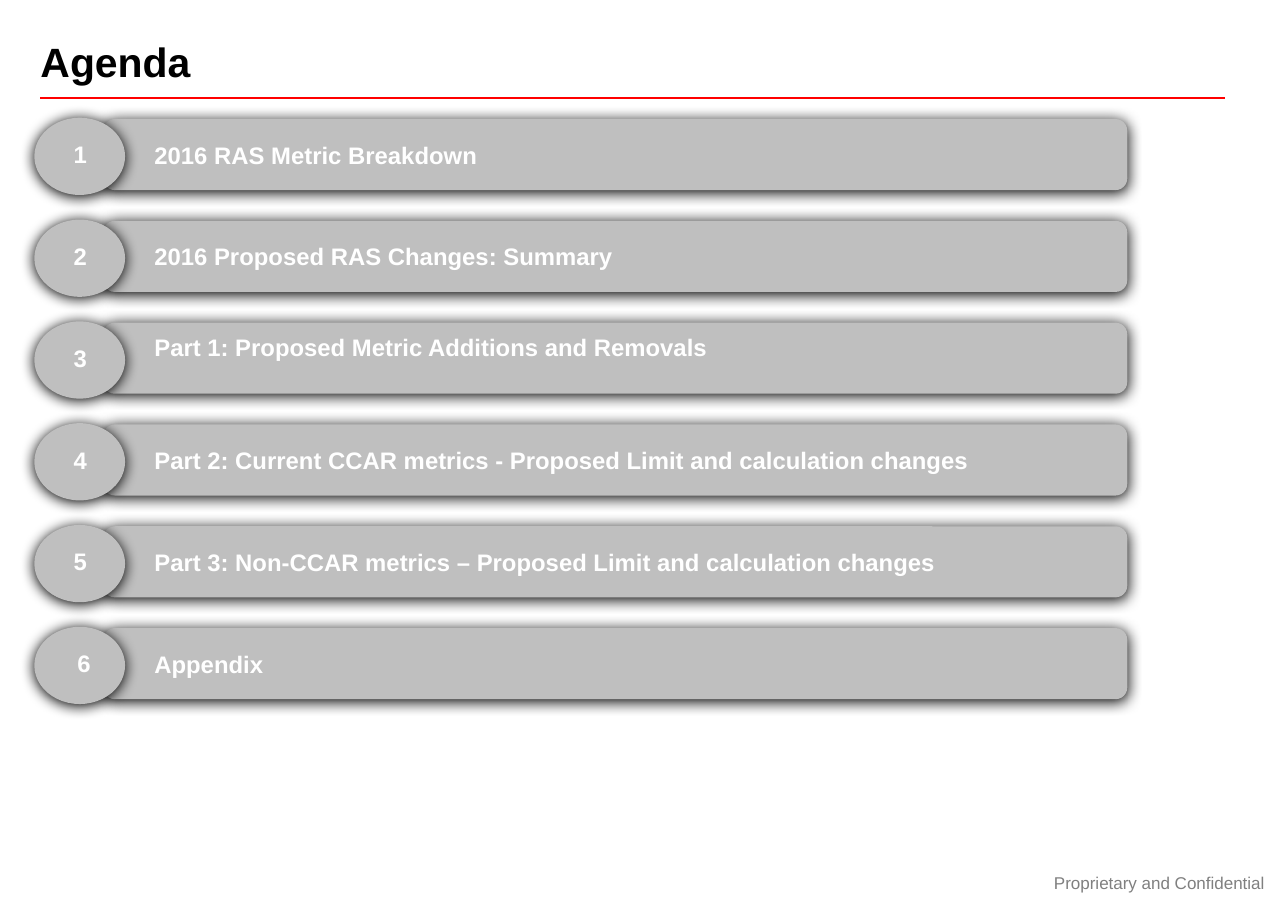
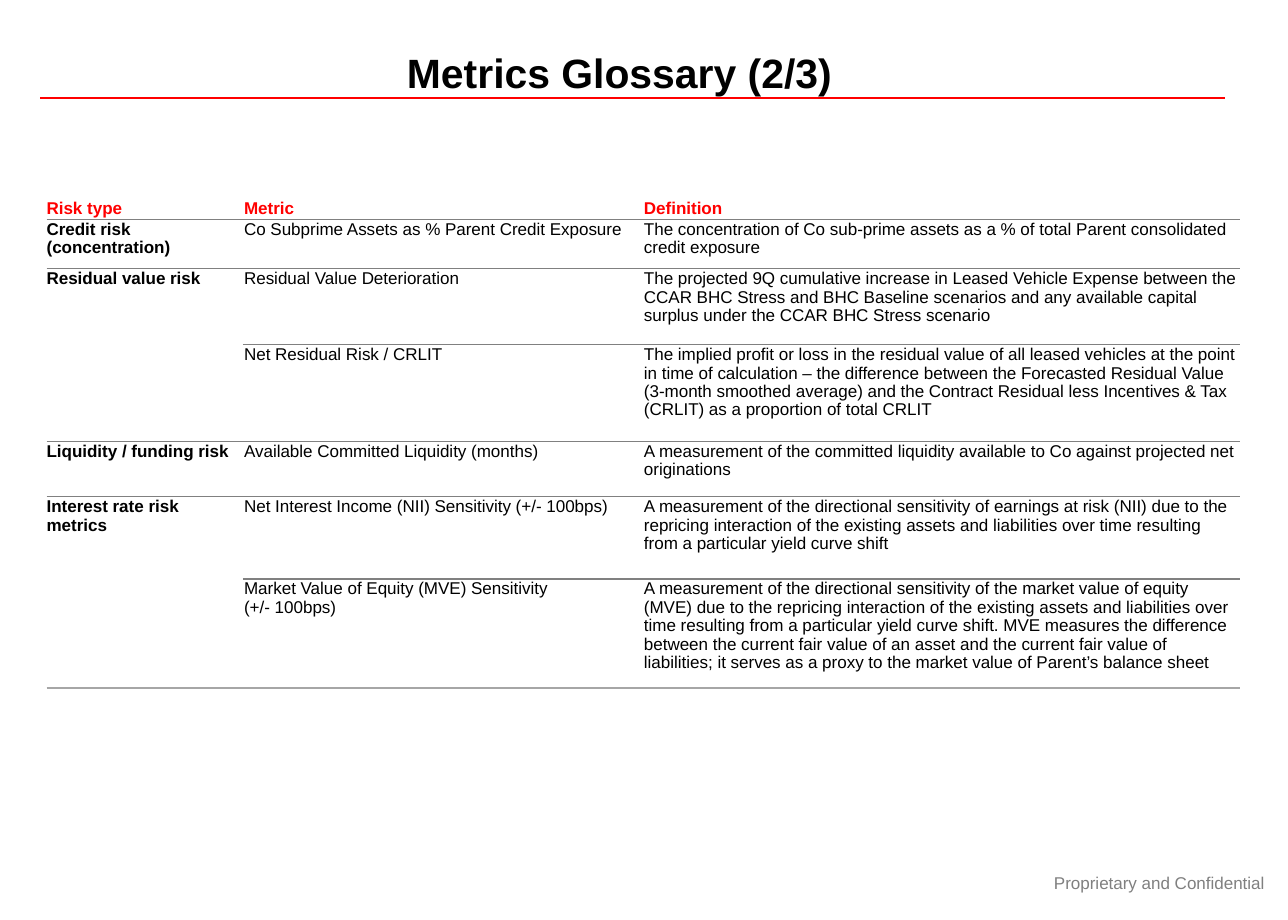
"""Build an agenda slide and a metrics glossary slide."""
from lxml.etree import SubElement
from pptx import Presentation
from pptx.dml.color import RGBColor
from pptx.enum.shapes import MSO_CONNECTOR as Link, MSO_SHAPE as Shape
from pptx.enum.text import MSO_ANCHOR as Anchor, PP_ALIGN as Align
from pptx.oxml import parse_xml
from pptx.oxml.ns import nsdecls, qn
from pptx.util import Pt

PX = 9144
RED = RGBColor(0xFF, 0x00, 0x00)
BLACK = RGBColor(0x00, 0x00, 0x00)
WHITE = RGBColor(0xFF, 0xFF, 0xFF)
SILVER = RGBColor(0xBF, 0xBF, 0xBF)
GRAY = RGBColor(0x80, 0x80, 0x80)
PALE = RGBColor(0xA6, 0xA6, 0xA6)

TITLES = [
    ("Agenda", (33, 30, 966, 50), 0, Align.LEFT, 1.0),
    ("Metrics Glossary (2/3)", (31, 38, 948, 48), 5, Align.CENTER, 0.9),
]
TOPICS = [
    "2016 RAS Metric Breakdown",
    "2016 Proposed RAS Changes: Summary",
    "Part 1: Proposed Metric Additions and Removals",
    "Part 2: Current CCAR metrics - Proposed Limit and calculation changes",
    "Part 3: Non-CCAR metrics – Proposed Limit and calculation changes",
    "Appendix",
]
ROWS = [
    (18, "Risk type", "Metric", "Definition"),
    (40, "Credit risk (concentration)",
     "Co Subprime Assets as % Parent Credit Exposure",
     "The concentration of Co sub-prime assets as a % of total Parent "
     "consolidated credit exposure"),
    (62, "Residual value risk", "Residual Value Deterioration",
     "The projected 9Q cumulative increase in Leased Vehicle Expense between "
     "the CCAR BHC Stress and BHC Baseline scenarios and any available "
     "capital surplus under the CCAR BHC Stress scenario"),
    (79, "", "Net Residual Risk / CRLIT",
     "The implied profit or loss in the residual value of all leased vehicles "
     "at the point in time of calculation – the difference between the "
     "Forecasted Residual Value (3-month smoothed average) and the Contract "
     "Residual less Incentives & Tax (CRLIT) as a proportion of total CRLIT"),
    (45, "Liquidity / funding risk", "Available Committed Liquidity (months)",
     "A measurement of the committed liquidity available to Co against "
     "projected net originations"),
    (67, "Interest rate risk metrics",
     "Net Interest Income (NII) Sensitivity (+/- 100bps)",
     "A measurement of the directional sensitivity of earnings at risk (NII) "
     "due to the repricing interaction of the existing assets and liabilities "
     "over time resulting from a particular yield curve shift"),
    (89, "", "Market Value of Equity (MVE) Sensitivity\v(+/- 100bps)",
     "A measurement of the directional sensitivity of the market value of "
     "equity (MVE) due to the repricing interaction of the existing assets "
     "and liabilities over time resulting from a particular yield curve "
     "shift. MVE measures the difference between the current fair value of an "
     "asset and the current fair value of liabilities; it serves as a proxy "
     "to the market value of Parent’s balance sheet"),
]
COLS = [160, 326, 487]


def write(frame, text, size, color, bold=False, align=Align.LEFT, gap=1.0):
    frame.text = text
    frame.word_wrap = True
    for para in frame.paragraphs:
        para.alignment = align
        para.line_spacing = gap
        for run in para.runs:
            font = run.font
            font.name, font.size, font.bold = "Arial", Pt(size), bold
            font.color.rgb = color


def edge(cell, side, color=None):
    line = SubElement(cell._tc.get_or_add_tcPr(), qn("a:" + side), w="12700")
    if color is None:
        SubElement(line, qn("a:noFill"))
    else:
        fill = SubElement(line, qn("a:solidFill"))
        SubElement(fill, qn("a:srgbClr"), val=str(color))


deck = Presentation()
deck.slide_width, deck.slide_height = 1050 * PX, 750 * PX

for text, area, inset, align, gap in TITLES:
    slide = deck.slides.add_slide(deck.slide_layouts[5])
    title = slide.shapes.title
    title.left, title.top, title.width, title.height = [n * PX for n in area]
    frame = title.text_frame
    write(frame, text, 24, BLACK, True, align, gap)
    frame.vertical_anchor = Anchor.TOP
    frame.margin_left = frame.margin_right = inset * 2 * PX
    frame.margin_top = frame.margin_bottom = inset * PX

    rule = slide.shapes.add_connector(
        Link.STRAIGHT, 33 * PX, 80 * PX, 999 * PX, 80 * PX)
    rule.line.color.rgb = RED
    rule.line.width = Pt(1)
    SubElement(rule._element.spPr, qn("a:effectLst"))

    foot = slide.shapes.add_textbox(840 * PX, 700 * PX, 210 * PX, 40 * PX)
    write(foot.text_frame, "Proprietary and Confidential", 10, GRAY,
          align=Align.CENTER)
    foot.text_frame.vertical_anchor = Anchor.MIDDLE

agenda, terms = deck.slides

for i, topic in enumerate(TOPICS):
    top = 97 + 83 * i
    group = agenda.shapes.add_group_shape().shapes
    for kind, left, y, width, height in [
            (Shape.ROUNDED_RECTANGLE, 84, top, 835, 58),
            (Shape.OVAL, 28, top - 1, 74, 63)]:
        shape = group.add_shape(
            kind, left * PX, y * PX, width * PX, height * PX)
        shape.fill.solid()
        shape.fill.fore_color.rgb = SILVER
        shape.line.fill.background()
        shape.shadow.inherit = False
        shape._element.spPr.find(qn("a:effectLst")).append(parse_xml(
            f'<a:outerShdw {nsdecls("a")} blurRad="107950" dist="12700" '
            'dir="5400000" algn="ctr" rotWithShape="0">'
            f'<a:srgbClr val="{BLACK}"/></a:outerShdw>'))
    left = 48 if topic == "Appendix" else 45
    badge = group.add_textbox(left * PX, (top + 12) * PX, 41 * PX, 35 * PX)
    write(badge.text_frame, str(i + 1), 14, WHITE, True, Align.CENTER)
    label = group.add_textbox(116 * PX, (top + 3) * PX, 829 * PX, 52 * PX)
    write(label.text_frame, topic, 14, WHITE, True)
    high = topic.startswith("Part 1")
    label.text_frame.vertical_anchor = Anchor.TOP if high else Anchor.MIDDLE

table = terms.shapes.add_table(
    len(ROWS), len(COLS), 38 * PX, 161 * PX, sum(COLS) * PX,
    sum(row[0] for row in ROWS) * PX).table
table.first_row = table.horz_banding = False
for col, width in zip(table.columns, COLS):
    col.width = width * PX
for r, (height, *texts) in enumerate(ROWS):
    table.rows[r].height = height * PX
    if not texts[0]:
        table.cell(r - 1, 0).merge(table.cell(r, 0))
last = len(ROWS) - 1
for r, (height, *texts) in enumerate(ROWS):
    for c, text in enumerate(texts):
        cell = table.cell(r, c)
        cell.margin_left = PX if c else 0
        cell.margin_right = cell.margin_top = PX
        cell.margin_bottom = 0
        cell.vertical_anchor = Anchor.TOP if r else Anchor.MIDDLE
        if text:
            write(cell.text_frame, text, 10, BLACK if r else RED,
                  r == 0 or c == 0, gap=0.97)
        end = r + cell.span_height - 1 if cell.is_merge_origin else r
        edge(cell, "lnL")
        edge(cell, "lnR")
        edge(cell, "lnT", GRAY if r and not cell.is_spanned else None)
        edge(cell, "lnB", PALE if end == last else GRAY)
        cell.fill.background()

deck.save("out.pptx")
